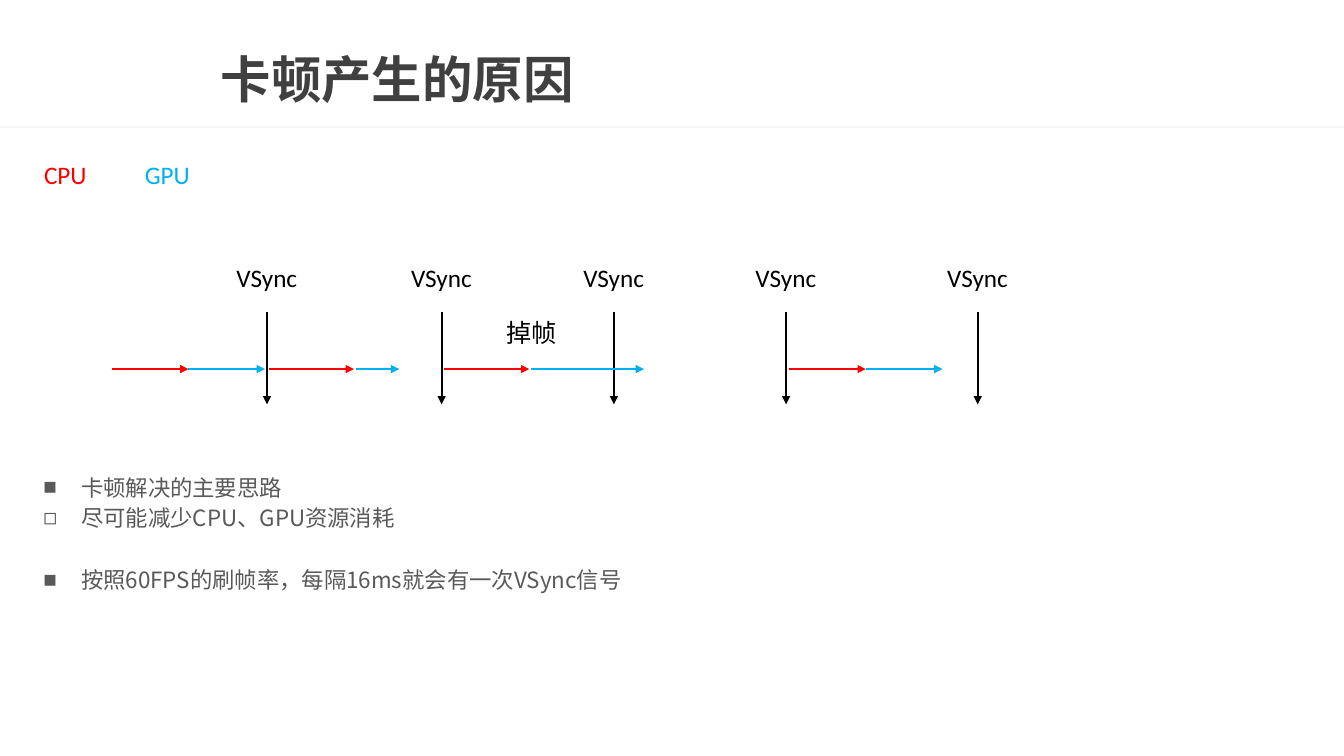
from lxml import etree
from pptx import Presentation
from pptx.dml.color import RGBColor
from pptx.enum.shapes import MSO_CONNECTOR, MSO_SHAPE
from pptx.enum.text import MSO_ANCHOR, MSO_AUTO_SIZE, PP_ALIGN
from pptx.oxml.ns import qn
from pptx.util import Cm, Pt

STRAIGHT = MSO_CONNECTOR.STRAIGHT
RECTANGLE = MSO_SHAPE.RECTANGLE
LEFT = PP_ALIGN.LEFT
TOP, MIDDLE = MSO_ANCHOR.TOP, MSO_ANCHOR.MIDDLE
NO_AUTOFIT = MSO_AUTO_SIZE.NONE

CPU_RED = RGBColor(0xFF, 0x00, 0x00)
GPU_BLUE = RGBColor(0x00, 0xB0, 0xF0)
BLACK = RGBColor(0x00, 0x00, 0x00)
TITLE_GRAY = RGBColor(0x40, 0x40, 0x40)
BODY_GRAY = RGBColor(0x59, 0x59, 0x59)
RULE_GRAY = RGBColor(0xF8, 0xF8, 0xF8)
LATIN_FONT = "Calibri"
CJK_FONT = "Noto Sans CJK SC"


def style_text(paragraph, size, color, latin=CJK_FONT):
    for run in paragraph.runs:
        run.font.size = Pt(size)
        run.font.color.rgb = color
        run.font.name = latin
        east_asian = etree.SubElement(run.font._element, qn("a:ea"))
        east_asian.set("typeface", CJK_FONT)


def add_arrow(shapes, x1, y1, x2, y2, color):
    arrow = shapes.add_connector(STRAIGHT, Cm(x1), Cm(y1), Cm(x2), Cm(y2))
    arrow.line.color.rgb = color
    arrow.line.width = Pt(1.5)
    head = etree.SubElement(arrow.line._get_or_add_ln(), qn("a:tailEnd"))
    head.set("type", "triangle")
    etree.SubElement(arrow._element.spPr, qn("a:effectLst"))


prs = Presentation()
prs.slide_width, prs.slide_height = Cm(33.87), Cm(19.05)
slide = prs.slides.add_slide(prs.slide_layouts[1])
shapes = slide.shapes

title_rule = shapes.add_shape(RECTANGLE, Cm(0), Cm(3.18), prs.slide_width, Cm(0.05))
title_rule.shadow.inherit = False
title_rule.fill.solid()
title_rule.fill.fore_color.rgb = RULE_GRAY
title_rule.line.fill.background()

title = shapes.title
title.left, title.top, title.width, title.height = Cm(5.31), Cm(1.09), Cm(28.02), Cm(1.98)
title.text_frame.text = "卡顿产生的原因"
title.text_frame.vertical_anchor = MIDDLE
heading = title.text_frame.paragraphs[0]
heading.alignment = LEFT
heading.line_spacing = 0.9
heading.font.bold = True
style_text(heading, 36, TITLE_GRAY)
heading.runs[0].font.bold = True

# Frame timeline: each VSync signal ends one interval
LANE_Y = 9.3
SIGNAL_TOP, SIGNAL_BOTTOM = 7.85, 10.19
LABEL_HEIGHT = 1.02
labels = [
    (shapes, "CPU", 0.86, 3.89, 1.6, CPU_RED),
    (shapes, "GPU", 3.4, 3.89, 1.65, GPU_BLUE),
    (shapes, "掉帧", 12.52, 7.87, 1.8, BLACK),
]
for signal_x in (6.73, 11.13, 15.47, 19.81, 24.64):
    signal = shapes.add_group_shape()
    add_arrow(signal.shapes, signal_x, SIGNAL_TOP, signal_x, SIGNAL_BOTTOM, BLACK)
    labels.append((signal.shapes, "VSync", signal_x - 1.02, 6.48, 2.06, BLACK))

for parent, wording, x, y, width, color in labels:
    label = parent.add_textbox(Cm(x), Cm(y), Cm(width), Cm(LABEL_HEIGHT))
    label.text_frame.text = wording
    label.text_frame.word_wrap = False
    style_text(label.text_frame.paragraphs[0], 18, color, LATIN_FONT)

# Each frame: CPU start and end, then GPU start and end
frames = [
    (2.82, 4.75, 4.75, 6.68),
    (6.78, 8.92, 8.97, 10.06),
    (11.2, 13.34, 13.39, 16.23),
    (19.89, 21.82, 21.82, 23.75),
]
for cpu_start, cpu_end, gpu_start, gpu_end in frames:
    add_arrow(shapes, cpu_start, LANE_Y, cpu_end, LANE_Y, CPU_RED)
    add_arrow(shapes, gpu_start, LANE_Y, gpu_end, LANE_Y, GPU_BLUE)

points = [
    ("■", "卡顿解决的主要思路", 0),
    ("◻", "尽可能减少CPU、GPU资源消耗", 0),
    ("■", "按照60FPS的刷帧率，每隔16ms就会有一次VSync信号", 22),
]
body = slide.placeholders[1]
body.left, body.top, body.width, body.height = Cm(0.84), Cm(11.71), Cm(31.95), Cm(5.23)
body.text_frame.text = "\n".join(wording for _, wording, _ in points)
body.text_frame.vertical_anchor = TOP
body.text_frame.auto_size = NO_AUTOFIT
for paragraph, (bullet, _, gap) in zip(body.text_frame.paragraphs, points):
    paragraph.line_spacing = Pt(22)
    paragraph.space_before = Pt(gap)
    style_text(paragraph, 16, BODY_GRAY)
    properties = paragraph._p.get_or_add_pPr()
    properties.set("marL", str(Cm(0.95)))
    properties.set("indent", str(-Cm(0.95)))
    etree.SubElement(properties, qn("a:buChar")).set("char", bullet)

prs.save("out.pptx")
